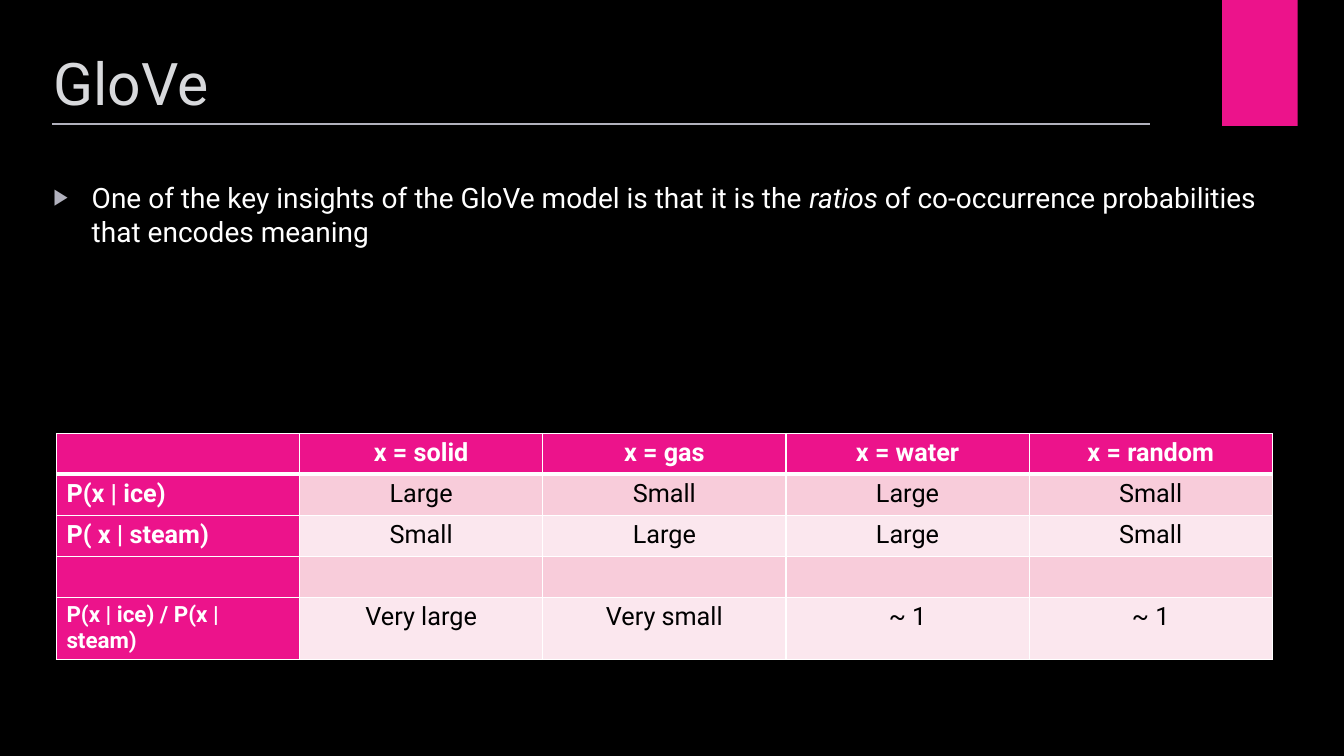
import pptx
import pptx.dml.color
import pptx.enum.shapes
import pptx.enum.text
import pptx.oxml
import pptx.oxml.ns
import pptx.util
from pptx.util import Inches

RGBColor = pptx.dml.color.RGBColor
BLACK = RGBColor(0x00, 0x00, 0x00)
WHITE = RGBColor(0xFF, 0xFF, 0xFF)
PINK = RGBColor(0xEC, 0x13, 0x8B)
ROSE = RGBColor(0xF8, 0xCC, 0xDA)
PALE_ROSE = RGBColor(0xFB, 0xE7, 0xEE)
SILVER = RGBColor(0xB1, 0xB1, 0xBD)
TITLE_GREY = RGBColor(0xD8, 0xD9, 0xDC)

ALIGN = pptx.enum.text.PP_ALIGN
FONT_NAME = "Roboto"

INSIGHT = [
    ("One of the key insights of the GloVe model is that it is the ", False),
    ("ratios", True),
    (" of co-occurrence probabilities that encodes meaning", False),
]
PROBABILITIES = [
    ["", "x = solid", "x = gas", "x = water", "x = random"],
    ["P(x | ice)", "Large", "Small", "Large", "Small"],
    ["P( x | steam)", "Small", "Large", "Large", "Small"],
    ["", "", "", "", ""],
    ["P(x | ice) / P(x | steam)", "Very large", "Very small", "~ 1", "~ 1"],
]


def add_run(paragraph, text, size, color, **formats):
    run = paragraph.add_run()
    run.text = text
    run.font.color.rgb = color
    values = {"name": FONT_NAME, "size": pptx.util.Pt(size), **formats}
    for name, value in values.items():
        setattr(run.font, name, value)


def place_placeholder(placeholder, left, top, width, height, margin_top):
    """Position a placeholder and return its first paragraph, left aligned."""
    box = {"left": left, "top": top, "width": width, "height": height}
    for name, value in box.items():
        setattr(placeholder, name, Inches(value))
    frame = placeholder.text_frame
    formats = {
        "word_wrap": True,
        "auto_size": pptx.enum.text.MSO_AUTO_SIZE.NONE,
        "vertical_anchor": pptx.enum.text.MSO_ANCHOR.TOP,
        "margin_top": Inches(margin_top),
    }
    for name, value in formats.items():
        setattr(frame, name, value)
    paragraph = frame.paragraphs[0]
    paragraph.alignment = ALIGN.LEFT
    paragraph.space_before = pptx.util.Pt(0)
    return paragraph


def add_bullet(paragraph, indent):
    properties = paragraph._p.get_or_add_pPr()
    properties.set("marL", str(Inches(indent)))
    properties.set("indent", str(-Inches(indent)))
    namespace = pptx.oxml.ns.nsdecls("a")
    for xml in (
        f'<a:buClr {namespace}><a:srgbClr val="{SILVER}"/></a:buClr>',
        f'<a:buSzPct {namespace} val="80000"/>',
        f'<a:buFont {namespace} typeface="Arial"/>',
        f'<a:buChar {namespace} char="▶"/>',
    ):
        properties.append(pptx.oxml.parse_xml(xml))


def add_corner_block(slide):
    block = slide.shapes.add_shape(
        pptx.enum.shapes.MSO_SHAPE.RECTANGLE,
        Inches(12.12), Inches(0), Inches(0.75), Inches(1.25))
    block.shadow.inherit = False
    block.fill.solid()
    block.fill.fore_color.rgb = PINK
    block.line.fill.background()


def add_title_rule(slide):
    rule = slide.shapes.add_connector(
        pptx.enum.shapes.MSO_CONNECTOR.STRAIGHT,
        Inches(0.52), Inches(1.23), Inches(11.41), Inches(1.23))
    rule.line.color.rgb = SILVER
    rule.line.width = pptx.util.Pt(1.5)
    effects = f'<a:effectLst {pptx.oxml.ns.nsdecls("a")}/>'
    rule._element.spPr.append(pptx.oxml.parse_xml(effects))


def set_borders(cell, top, bottom):
    """Draw white borders, with the top and bottom widths in points."""
    properties = cell._tc.get_or_add_tcPr()
    widths = {"lnL": 1, "lnR": 1, "lnT": top, "lnB": bottom}
    for position, (side, width) in enumerate(widths.items()):
        border = pptx.oxml.parse_xml(
            f'<a:{side} {pptx.oxml.ns.nsdecls("a")} w="{pptx.util.Pt(width)}">'
            f'<a:solidFill><a:srgbClr val="{WHITE}"/></a:solidFill></a:{side}>')
        properties.insert(position, border)


def format_cell(cell, text, row, column):
    is_heading = row == 0 or column == 0
    cell.fill.solid()
    body_fill = ROSE if row % 2 else PALE_ROSE
    cell.fill.fore_color.rgb = PINK if is_heading else body_fill
    set_borders(cell, top=3 if row == 1 else 1, bottom=3 if row == 0 else 1)
    if text:
        paragraph = cell.text_frame.paragraphs[0]
        paragraph.alignment = ALIGN.CENTER if column else ALIGN.LEFT
        is_ratio_label = column == 0 and row == len(PROBABILITIES) - 1
        add_run(paragraph, text, 16 if is_ratio_label else 18,
                WHITE if is_heading else BLACK, bold=is_heading)


def add_probability_table(slide):
    row_count, column_count = len(PROBABILITIES), len(PROBABILITIES[0])
    table = slide.shapes.add_table(
        row_count, column_count, Inches(0.56), Inches(4.3),
        Inches(12.06), Inches(2.03)).table
    for row, texts in enumerate(PROBABILITIES):
        for column, text in enumerate(texts):
            format_cell(table.cell(row, column), text, row, column)


def main():
    presentation = pptx.Presentation()
    presentation.slide_width = Inches(13.33)
    presentation.slide_height = Inches(7.5)
    slide = presentation.slides.add_slide(presentation.slide_layouts[1])
    slide.background.fill.solid()
    slide.background.fill.fore_color.rgb = BLACK

    add_corner_block(slide)
    add_title_rule(slide)
    title = place_placeholder(slide.shapes.title, 0.43, 0.37, 10.57, 1.08, 0.09)
    add_run(title, "GloVe", 42, TITLE_GREY)
    body = place_placeholder(slide.placeholders[1], 0.43, 1.74, 12.35, 4.59, 0.05)
    add_bullet(body, 0.38)
    for text, italic in INSIGHT:
        add_run(body, text, 20, WHITE, italic=italic)
    add_probability_table(slide)
    presentation.save("out.pptx")


if __name__ == "__main__":
    main()
